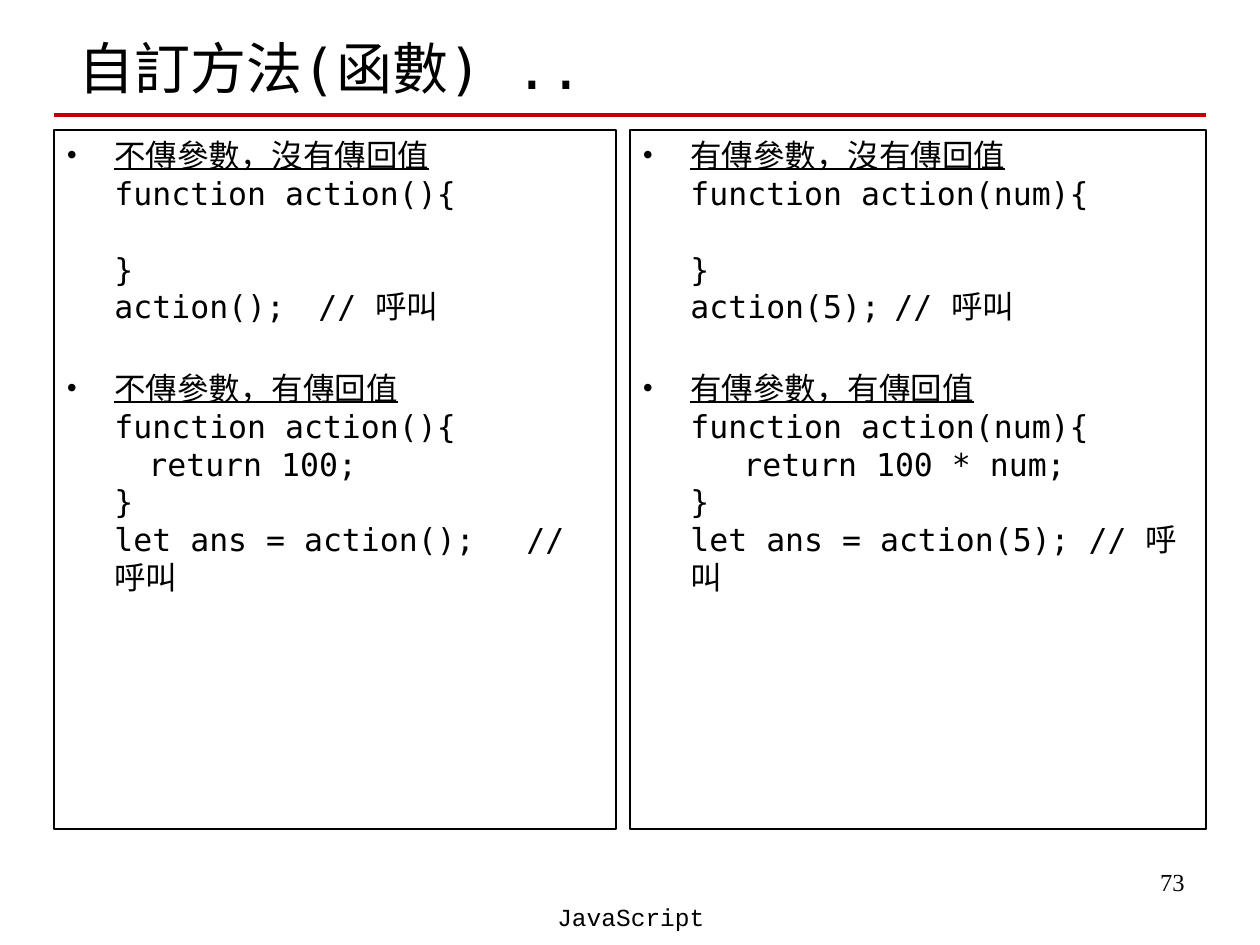
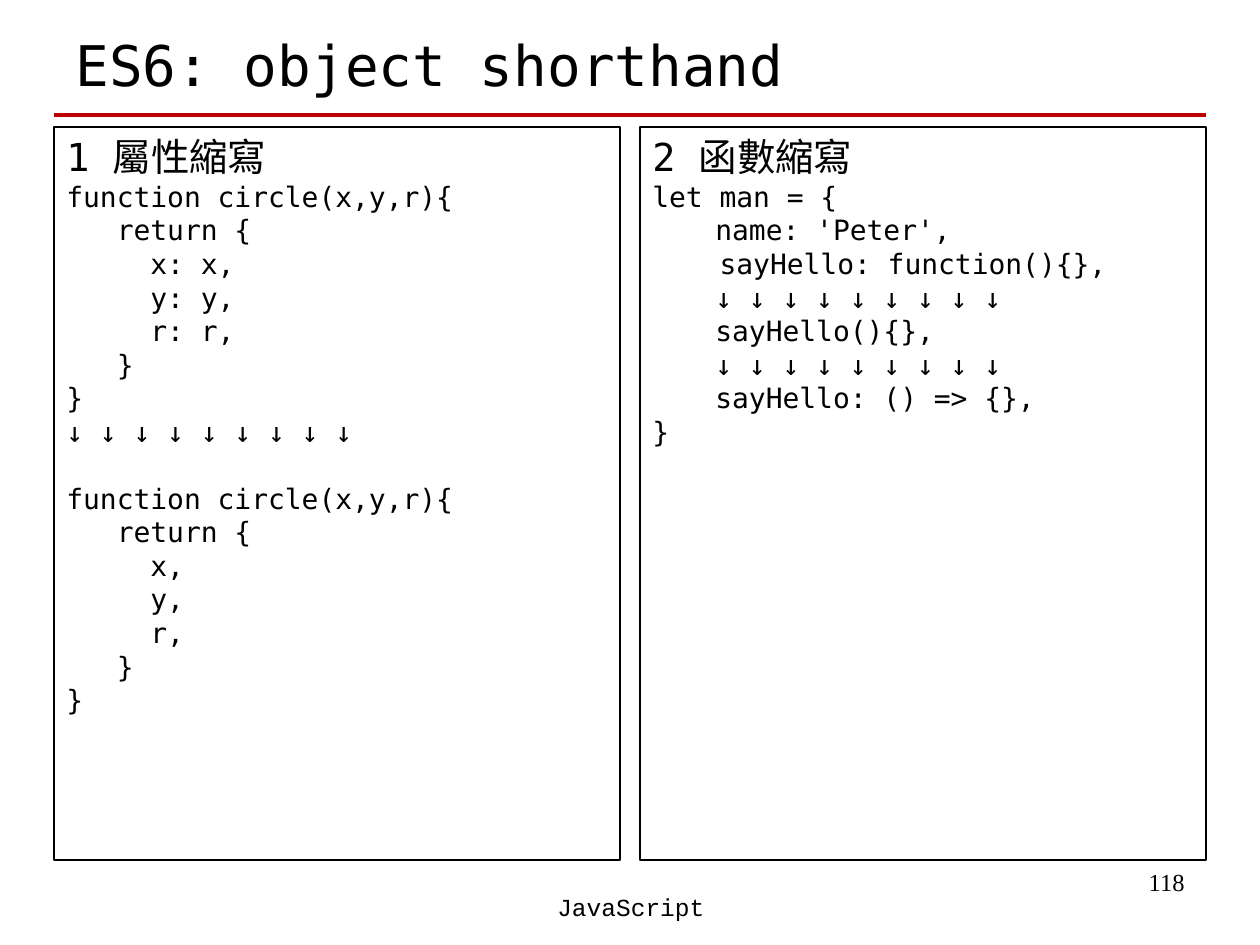
from copy import deepcopy
from lxml.etree import SubElement
from pptx import Presentation
from pptx.dml.color import RGBColor
from pptx.enum.shapes import MSO_CONNECTOR, MSO_SHAPE
from pptx.enum.text import MSO_ANCHOR, PP_ALIGN
from pptx.oxml.ns import qn
from pptx.util import Emu, Pt

# Content: each panel is a list of (style, text)
VOID = [
    ("item", """不傳參數，沒有傳回值
function action(){

}
action();\t// 呼叫"""),
    ("item", """不傳參數，有傳回值
function action(){
\t return 100;
}
let ans = action();\t // 呼叫"""),
]
ARGS = [
    ("item", """有傳參數，沒有傳回值
function action(num){

}
action(5);\t// 呼叫"""),
    ("item", """有傳參數，有傳回值
function action(num){
\t  return 100 * num;
}
let ans = action(5); // 呼叫"""),
]
PROPS = [
    ("head", "1 屬性縮寫"),
    ("code", """function circle(x,y,r){
   return {
     x: x,
     y: y,
     r: r,
   }
}
↓ ↓ ↓ ↓ ↓ ↓ ↓ ↓ ↓"""),
    ("next", """function circle(x,y,r){
   return {
     x,
     y,
     r,
   }
}"""),
]
FUNCS = [
    ("head", "2 函數縮寫"),
    ("code", """let man = {
\tname: 'Peter',
    sayHello: function(){},
\t↓ ↓ ↓ ↓ ↓ ↓ ↓ ↓ ↓
\tsayHello(){},
\t↓ ↓ ↓ ↓ ↓ ↓ ↓ ↓ ↓
\tsayHello: () => {},
}"""),
]
# Panels are (left, width, paragraphs)
SLIDES = [
    {"title": "自訂方法(函數) ..", "at": (66, 19), "page": "73", "foot": 896,
     "top": 130, "tall": 699, "panels": [(54, 562, VOID), (630, 576, ARGS)]},
    {"title": "ES6: object shorthand", "at": (63, 16), "page": "118", "foot": 886,
     "top": 127, "tall": 733, "panels": [(54, 566, PROPS), (640, 566, FUNCS)]},
]

# Shared look
COLOR = {"ink": "000000", "rule": "C00000"}
MONO, SERIF, TYPED = "DejaVu Sans Mono", "Times New Roman", "Courier New"
STYLE = {  # size, space before
    "item": (18, 25), "head": (22, 0), "code": (16, 0), "next": (16, 19),
}
HANG = 48
SCALE = 914400 / 126


def px(num):
    return Emu(round(num * SCALE))


def rgb(name):
    return RGBColor.from_string(COLOR[name])


def write(para, text, size, face):
    para.text = text
    for run in para.runs:
        run.font.size = Pt(size)
        run.font.name = face
        run.font.color.rgb = rgb("ink")
        SubElement(run.font._element, qn("a:ea"), typeface=face)
    # Line breaks take the look of the text, so empty lines keep its height
    for gap in para._p.findall(qn("a:br")):
        gap.append(deepcopy(para.runs[0].font._element))


def label(slide, box, text, size, face, align=PP_ALIGN.LEFT, anchor=MSO_ANCHOR.TOP):
    frame = slide.shapes.add_textbox(*map(px, box)).text_frame
    frame.word_wrap = True
    frame.vertical_anchor = anchor
    frame.paragraphs[0].alignment = align
    write(frame.paragraphs[0], text, size, face)


def bullet(para):
    props = para._p.get_or_add_pPr()
    props.set("marL", str(px(HANG)))
    props.set("indent", str(-px(HANG)))
    tint = SubElement(props, qn("a:buClr"))
    SubElement(tint, qn("a:srgbClr"), val=COLOR["ink"])
    SubElement(props, qn("a:buFont"), typeface=SERIF)
    SubElement(props, qn("a:buChar"), char="•")


def panel(slide, box, paras):
    shape = slide.shapes.add_shape(MSO_SHAPE.RECTANGLE, *map(px, box))
    shape.shadow.inherit = False
    shape.fill.background()
    shape.line.color.rgb = rgb("ink")
    shape.line.width = Pt(0.75)
    frame = shape.text_frame
    frame.word_wrap = True
    frame.vertical_anchor = MSO_ANCHOR.TOP
    for pos, (style, text) in enumerate(paras):
        para = frame.add_paragraph() if pos else frame.paragraphs[0]
        size, space = STYLE[style]
        para.alignment = PP_ALIGN.LEFT
        if style == "item":
            bullet(para)
        if pos:
            para.space_before = Pt(space)
        write(para, text, size, MONO)
        if style == "item":
            para.runs[0].font.underline = True


def rule(slide):
    line = slide.shapes.add_connector(
        MSO_CONNECTOR.STRAIGHT, *map(px, (54, 115, 1206, 115)))
    line.line.color.rgb = rgb("rule")
    line.line.width = Pt(2.25)
    SubElement(line._element.spPr, qn("a:effectLst"))


def main():
    deck = Presentation()
    deck.slide_width, deck.slide_height = px(1260), px(945)
    for data in SLIDES:
        slide = deck.slides.add_slide(deck.slide_layouts[6])
        # Title, rule, page number and footer
        label(slide, (*data["at"], 1134, 96), data["title"], 32, MONO,
              anchor=MSO_ANCHOR.MIDDLE)
        rule(slide)
        label(slide, (903, 861, 294, 65), data["page"], 14, SERIF, PP_ALIGN.RIGHT)
        label(slide, (431, data["foot"], 400, 63), "JavaScript", 14, TYPED,
              PP_ALIGN.CENTER)
        # Two framed panels
        for left, wide, paras in data["panels"]:
            panel(slide, (left, data["top"], wide, data["tall"]), paras)
    deck.save("out.pptx")


if __name__ == "__main__":
    main()
